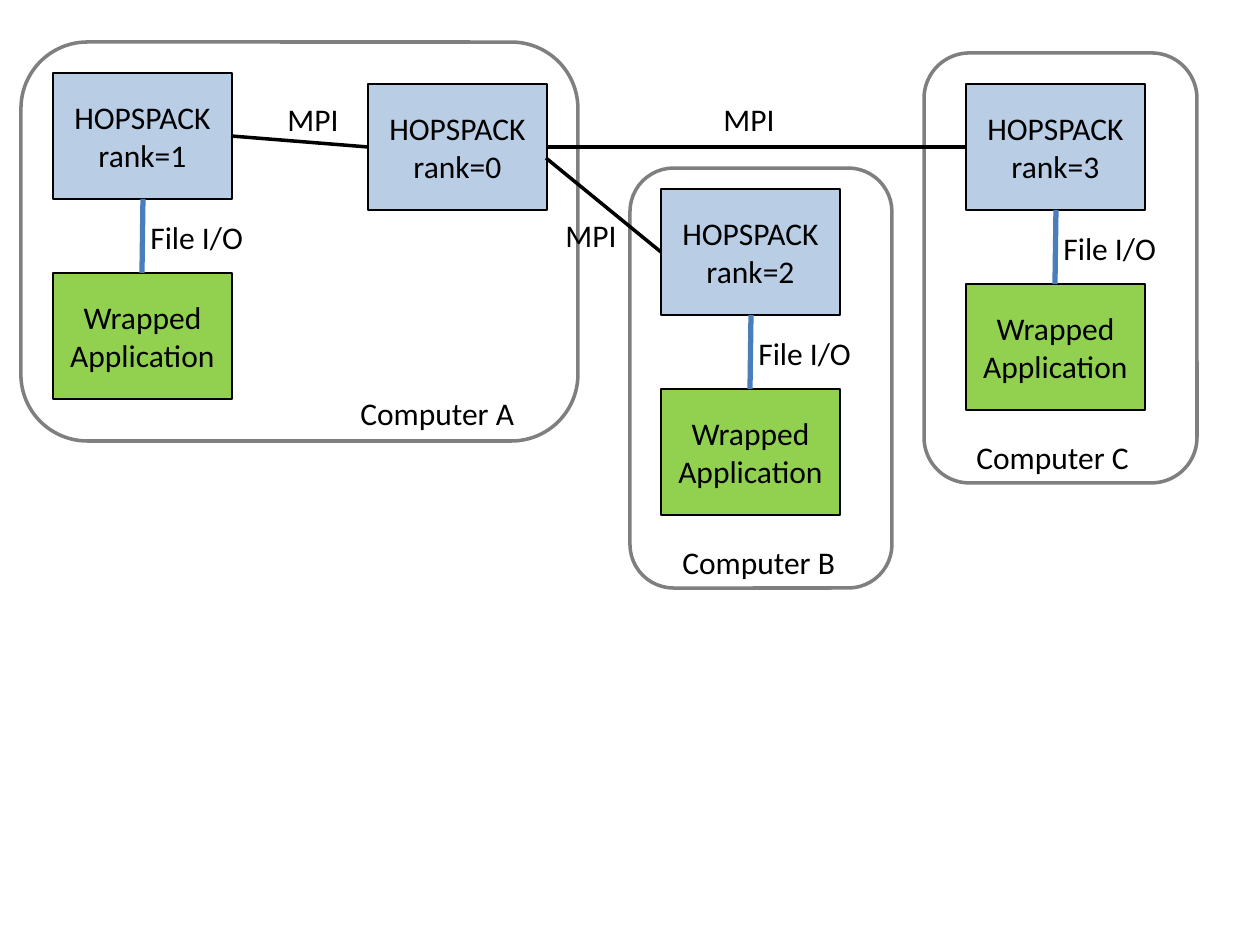
from dataclasses import dataclass

from lxml import etree
from pptx import Presentation
from pptx.dml.color import RGBColor
from pptx.enum.shapes import MSO_CONNECTOR, MSO_SHAPE
from pptx.enum.text import MSO_ANCHOR, MSO_AUTO_SIZE, PP_ALIGN
from pptx.oxml.ns import qn
from pptx.shapes.autoshape import Shape
from pptx.slide import Slide
from pptx.util import Emu, Inches, Pt

RECTANGLE = MSO_SHAPE.RECTANGLE
ROUNDED = MSO_SHAPE.ROUNDED_RECTANGLE
STRAIGHT = MSO_CONNECTOR.STRAIGHT
CENTER = PP_ALIGN.CENTER
LEFT = PP_ALIGN.LEFT
MIDDLE = MSO_ANCHOR.MIDDLE
GROW = MSO_AUTO_SIZE.SHAPE_TO_FIT_TEXT

PX_PER_INCH = 126
FONT = "Calibri"
COLORS = {
    "computer": "FFFFFF",
    "border": "7F7F7F",
    "rank": "B9CDE5",
    "application": "92D050",
    "file_io": "4A7EBB",
    "black": "000000",
}

BOX_WIDTH, BOX_HEIGHT = 179, 126
APPLICATION_DROP = 200
LABEL_HEIGHT = 50
FILE_IO_WIDTH = 124


@dataclass(frozen=True)
class Area:
    left: int
    top: int
    width: int
    height: int


@dataclass(frozen=True)
class Rank:
    number: int
    left: int
    top: int
    runs_application: bool = True


@dataclass(frozen=True)
class Link:
    start: tuple[int, int]
    end: tuple[int, int]


@dataclass(frozen=True)
class Label:
    text: str
    left: int
    top: int
    width: int


COMPUTERS = [
    Area(924, 53, 273, 430),
    Area(630, 168, 262, 420),
    Area(21, 42, 557, 399),
]
RANKS = [
    Rank(0, 368, 84, runs_application=False),
    Rank(1, 53, 73),
    Rank(3, 966, 84),
    Rank(2, 661, 189),
]
MPI_LINKS = [
    Link((231, 136), (368, 147)),
    Link((546, 158), (661, 252)),
    Link((546, 147), (966, 147)),
]
LABELS = [
    Label("Computer A", 348, 388, 179),
    Label("Computer B", 670, 537, 178),
    Label("Computer C", 964, 432, 178),
    Label("MPI", 275, 94, 76),
    Label("MPI", 711, 94, 76),
    Label("MPI", 553, 210, 76),
]


def px(length: int) -> Emu:
    return Emu(round(length * Inches(1) / PX_PER_INCH))


def color(role: str) -> RGBColor:
    return RGBColor.from_string(COLORS[role])


def write(shape: Shape, text: str, align: PP_ALIGN) -> None:
    shape.text_frame.text = text
    for paragraph in shape.text_frame.paragraphs:
        paragraph.alignment = align
        for run in paragraph.runs:
            run.font.name = FONT
            run.font.size = Pt(18)
            run.font.color.rgb = color("black")


def draw_area(slide: Slide, kind: MSO_SHAPE, area: Area, fill: str,
              border: str, weight: int) -> Shape:
    shape = slide.shapes.add_shape(
        kind, px(area.left), px(area.top), px(area.width), px(area.height))
    shape.shadow.inherit = False
    shape.fill.solid()
    shape.fill.fore_color.rgb = color(fill)
    shape.line.color.rgb = color(border)
    shape.line.width = Pt(weight)
    return shape


def draw_box(slide: Slide, left: int, top: int, text: str, fill: str) -> None:
    area = Area(left, top, BOX_WIDTH, BOX_HEIGHT)
    box = draw_area(slide, RECTANGLE, area, fill, "black", 1)
    box.text_frame.word_wrap = True
    box.text_frame.vertical_anchor = MIDDLE
    write(box, text, CENTER)


def draw_link(slide: Slide, link: Link, stroke: str, weight: int) -> None:
    connector = slide.shapes.add_connector(
        STRAIGHT, *map(px, link.start), *map(px, link.end))
    connector.line.color.rgb = color(stroke)
    connector.line.width = Pt(weight)
    etree.SubElement(connector._element.spPr, qn("a:effectLst"))


def draw_label(slide: Slide, label: Label) -> None:
    box = slide.shapes.add_textbox(
        px(label.left), px(label.top), px(label.width), px(LABEL_HEIGHT))
    box.text_frame.word_wrap = False
    box.text_frame.auto_size = GROW
    write(box, label.text, LEFT)


def draw_rank(slide: Slide, rank: Rank) -> None:
    """Draw a rank with the application it reaches through files, if any."""
    left, top = rank.left, rank.top
    draw_box(slide, left, top, f"HOPSPACK\nrank={rank.number}", "rank")
    if rank.runs_application:
        application_top = top + APPLICATION_DROP
        draw_box(slide, left, application_top, "Wrapped Application", "application")
        file_io = Link((left + 90, top + BOX_HEIGHT), (left + 89, application_top))
        draw_link(slide, file_io, "file_io", 3)
        draw_label(slide, Label("File I/O", left + 85, top + 139, FILE_IO_WIDTH))


def main() -> None:
    presentation = Presentation()
    presentation.slide_width = Inches(10)
    presentation.slide_height = Inches(7.5)
    slide = presentation.slides.add_slide(presentation.slide_layouts[6])

    for computer in COMPUTERS:
        draw_area(slide, ROUNDED, computer, "computer", "border", 2)
    for rank in RANKS:
        draw_rank(slide, rank)
    for link in MPI_LINKS:
        draw_link(slide, link, "black", 2)
    for label in LABELS:
        draw_label(slide, label)

    presentation.save("out.pptx")


if __name__ == "__main__":
    main()
